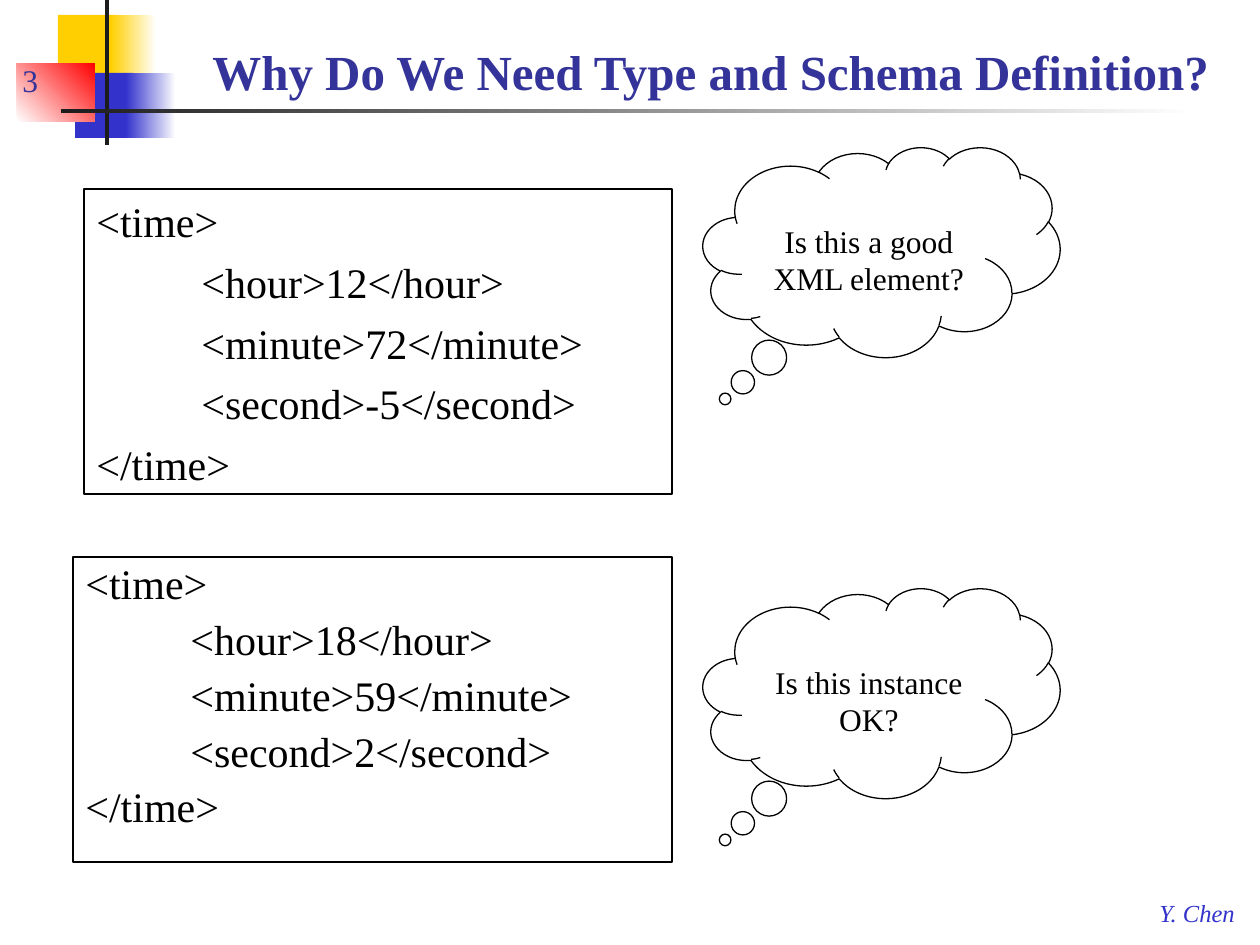
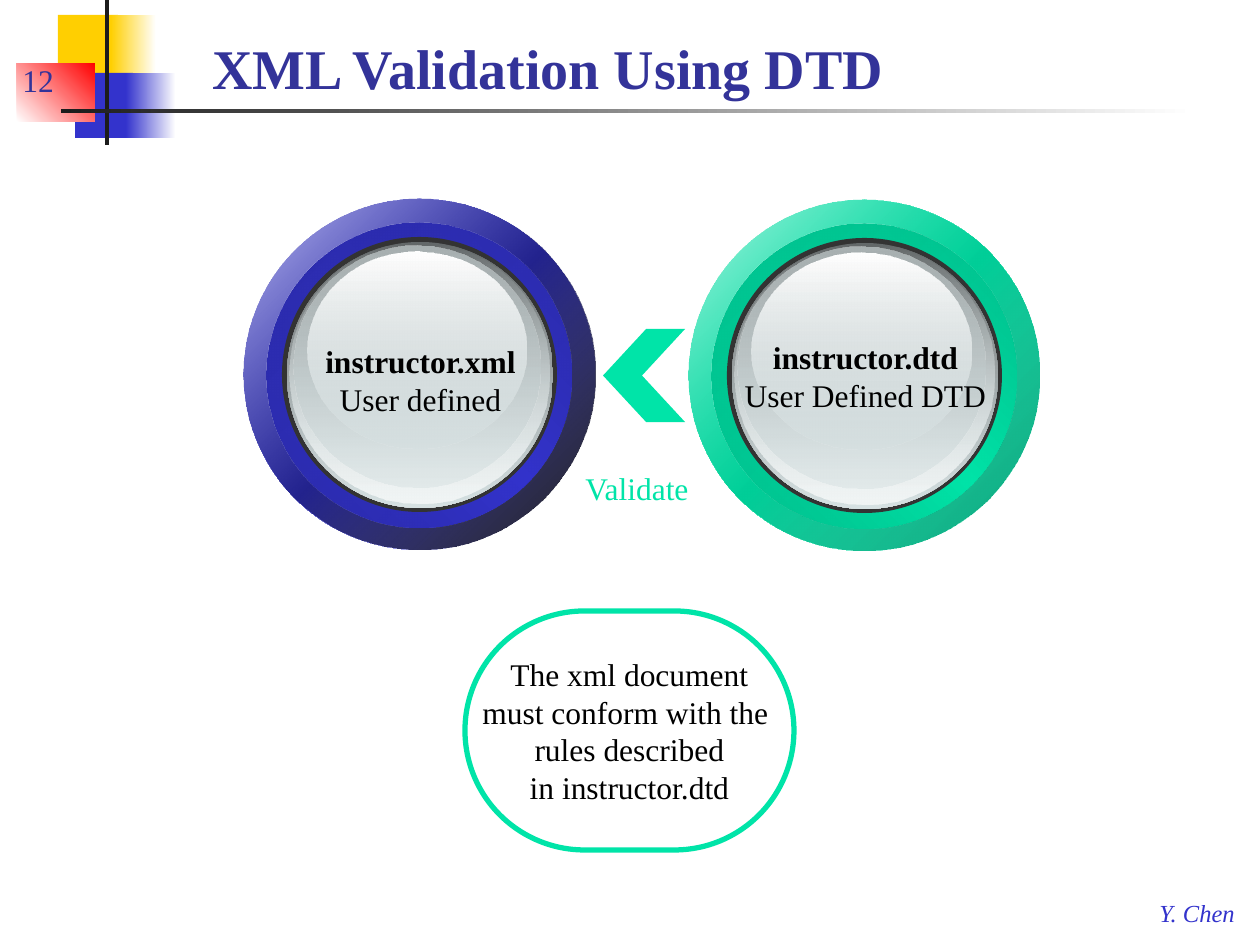
from dataclasses import dataclass

from pptx import Presentation
from pptx.dml.color import RGBColor
from pptx.enum.shapes import MSO_SHAPE
from pptx.enum.text import MSO_ANCHOR, PP_ALIGN
from pptx.oxml import parse_xml
from pptx.oxml.ns import nsdecls, qn
from pptx.util import Emu, Pt

PX = 914400 / 126


@dataclass(frozen=True)
class Theme:
    font: str = "Times New Roman"
    white: str = "FFFFFF"
    black: str = "000000"
    ink: str = "1C1C1C"
    yellow: str = "FFCF01"
    red: str = "FF0000"
    blue: str = "3333CC"
    title: str = "333399"
    green: str = "00E4A8"
    rim: str = "333333"
    silver: str = "D6E1E2"
    code_size: int = 24
    body_size: int = 18
    footer_size: int = 14


theme = Theme()


def add_box(shapes, kind, place, fill=None, line=None, weight=0.75):
    """Add a shape, or a text box if kind is None; fill is a colour or (angle, stops)."""
    lengths = [Emu(round(value * PX)) for value in place]
    if kind is None:
        return shapes.add_textbox(*lengths)
    box = shapes.add_shape(kind, *lengths)
    box.shadow.inherit = False
    if line:
        box.line.color.rgb = RGBColor.from_string(line)
        box.line.width = Pt(weight)
    else:
        box.line.fill.background()
    if isinstance(fill, str):
        box.fill.solid()
        box.fill.fore_color.rgb = RGBColor.from_string(fill)
    else:
        box.fill.background()
    if isinstance(fill, tuple):
        angle, stops = fill
        marks = "".join(
            f'<a:gs pos="{position * 1000}"><a:srgbClr val="{colour}">'
            f'<a:alpha val="{opacity * 1000}"/></a:srgbClr></a:gs>'
            for position, colour, opacity in stops)
        gradient = parse_xml(
            f'<a:gradFill {nsdecls("a")} rotWithShape="1"><a:gsLst>{marks}</a:gsLst>'
            f'<a:lin ang="{angle * 60000}" scaled="0"/></a:gradFill>')
        properties = box._element.spPr
        properties.replace(properties.find(qn("a:noFill")), gradient)
    return box


def write(box, lines, size, colour=theme.black, align=PP_ALIGN.LEFT,
          anchor=MSO_ANCHOR.TOP, wrap=True, bold_first=False, **font_format):
    """Fill a box with one paragraph per line and return the paragraphs."""
    frame = box.text_frame
    frame.word_wrap = wrap
    frame.vertical_anchor = anchor
    values = {"name": theme.font, "size": Pt(size), **font_format}
    for index, line in enumerate(lines):
        para = frame.paragraphs[0] if index == 0 else frame.add_paragraph()
        para.alignment = align
        span = para.add_run()
        span.text = line
        for name, value in values.items():
            setattr(span.font, name, value)
        if bold_first:
            span.font.bold = index == 0
        span.font.color.rgb = RGBColor.from_string(colour)
    return frame.paragraphs


deck = Presentation()
deck.slide_width, deck.slide_height = Emu(round(1260 * PX)), Emu(round(945 * PX))

# Shared corner blocks, title, page number and footer
fade = {colour: (0, [(0, colour, 100), (100, theme.white, 100)])
        for colour in (theme.yellow, theme.blue, theme.ink)}
corner_blocks = [
    ((58, 15, 60, 66), theme.yellow),
    ((111, 15, 45, 66), fade[theme.yellow]),
    ((75, 73, 58, 65), theme.blue),
    ((126, 73, 50, 65), fade[theme.blue]),
    ((17, 63, 78, 59), (315, [(0, theme.white, 100), (100, theme.red, 100)])),
    ((105, 0, 4, 145), theme.ink),
    ((61, 109, 1134, 4), fade[theme.ink]),
]
pages = []
for number, title, title_size in [
    ("3", "Why Do We Need Type and Schema Definition?", 28),
    ("12", "XML Validation Using DTD", 32),
]:
    page = deck.slides.add_slide(deck.slide_layouts[6])
    pages.append(page)
    for place, fill in corner_blocks:
        add_box(page.shapes, MSO_SHAPE.RECTANGLE, place, fill)
    write(add_box(page.shapes, None, (1147, 892, 103, 42)), ["Y. Chen"],
          theme.footer_size, theme.blue, wrap=False, italic=True)
    write(add_box(page.shapes, None, (10, 42, 105, 63)), [number],
          theme.body_size, theme.title, anchor=MSO_ANCHOR.BOTTOM)
    write(add_box(page.shapes, None, (200, 21, 1050, 86)), [title],
          title_size, theme.title, anchor=MSO_ANCHOR.BOTTOM, bold=True)
question_page, validation_page = pages

# Two XML samples, each with a question in a cloud
for place, (hour, minute, second), spacing, cloud_top, question in [
    ((73, 557, 599, 305), (18, 59, 2), 0.9, 588, "Is this instance OK?"),
    ((84, 189, 588, 305), (12, 72, -5), 1.0, 147, "Is this a good XML element?"),
]:
    code_box = add_box(question_page.shapes, MSO_SHAPE.RECTANGLE, place, line=theme.black)
    code = ["<time>", f"<hour>{hour}</hour>", f"<minute>{minute}</minute>",
            f"<second>{second}</second>", "</time>"]
    for para in write(code_box, code, theme.code_size):
        para.line_spacing = spacing
        para.space_before = Pt(6)
        if "time>" not in para.text:
            para._p.get_or_add_pPr().set("marL", str(round(105 * PX)))
    cloud = add_box(question_page.shapes, MSO_SHAPE.CLOUD_CALLOUT,
                    (703, cloud_top, 357, 210), theme.white, theme.black)
    cloud.adjustments[0], cloud.adjustments[1] = -0.438, 0.7
    write(cloud, [question], theme.body_size, align=PP_ALIGN.CENTER)
    cloud.text_frame.margin_top = Emu(round(43 * PX))

# Rule and arrow between the two files
rule = add_box(validation_page.shapes, MSO_SHAPE.ROUNDED_RECTANGLE,
               (465, 611, 329, 239), line=theme.green, weight=3)
rule.adjustments[0] = 0.5
write(rule, ["The xml document", "must conform with the ", "rules described",
             "in instructor.dtd"], theme.body_size, align=PP_ALIGN.CENTER,
      anchor=MSO_ANCHOR.MIDDLE, wrap=False)
arrow = add_box(validation_page.shapes, MSO_SHAPE.CHEVRON, (603, 329, 82, 93), theme.green)
arrow.adjustments[0] = 0.525
arrow.rotation = 180

# Glossy round buttons
gloss_layers = [
    ((43, 43, 266, 266), [(0, "636869", 100), (100, theme.silver, 100)]),
    ((45, 44, 260, 260), [(0, theme.silver, 0), (100, "F1F5F5", 100)]),
    ((49, 47, 247, 242), [(0, "AAB2B3", 100), (100, theme.silver, 48)]),
    ((63, 53, 219, 197), [(0, theme.white, 100), (100, theme.silver, 38)]),
]
for left, top, colour, shade, groove, groove_light in [
    (244, 199, theme.blue, (100, theme.black, 90), "27279C", "2A2AA7"),
    (689, 200, theme.green, (100, "00A378", 100), "00AF81", "00BB8A"),
]:
    outer, inner = (0, 0, 351, 351), (23, 24, 305, 305)
    ring_layers = [
        (outer, (45, [(0, theme.white, 100), (50, colour, 100), (100, theme.white, 100)])),
        (outer, (45, [(0, colour, 32), shade])),
        (inner, (315, [(0, groove, 100), (50, colour, 100), (100, groove, 100)])),
        (inner, (45, [(0, groove_light, 100), (100, colour, 0)])),
        ((38, 38, 275, 275), theme.rim),
    ]
    gloss = validation_page.shapes.add_group_shape()
    for (x, y, width, height), fill in ring_layers:
        add_box(validation_page.shapes, MSO_SHAPE.OVAL,
                (left + x, top + y, width, height), fill)
    validation_page.shapes._spTree.append(gloss._element)
    for (x, y, width, height), stops in gloss_layers:
        add_box(gloss.shapes, MSO_SHAPE.OVAL,
                (left + x, top + y, width, height), (90, stops))

# Labels
for place, lines in [
    ((311, 336, 219, 88), ["instructor.xml", "User defined"]),
    ((732, 332, 267, 88), ["instructor.dtd", "User Defined DTD"]),
]:
    write(add_box(validation_page.shapes, None, place), lines, theme.body_size,
          align=PP_ALIGN.CENTER, wrap=False, bold_first=True)
write(add_box(validation_page.shapes, None, (573, 463, 132, 50)), ["Validate"],
      theme.body_size, theme.green, wrap=False)

deck.save("out.pptx")
